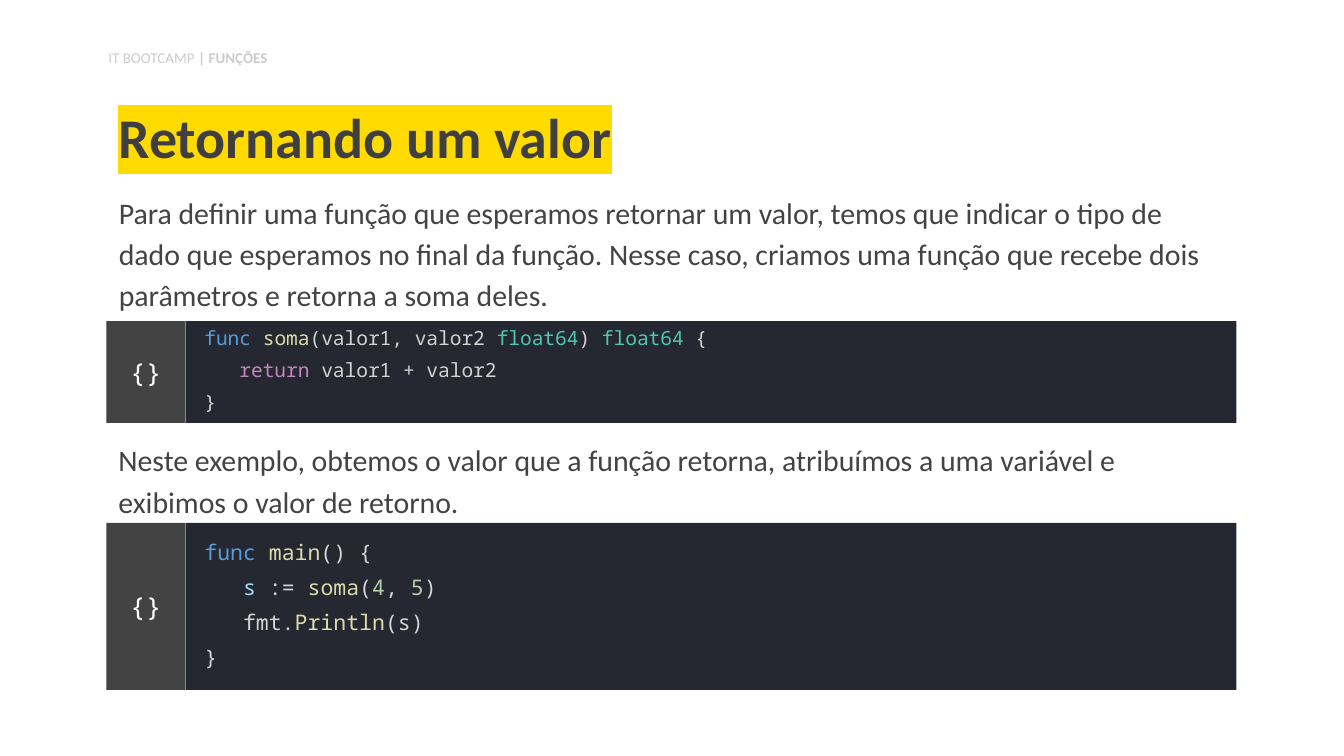
"""Build the slide about returning a value from a function."""
from lxml import etree
from pptx import Presentation
from pptx.dml.color import RGBColor
from pptx.enum.shapes import MSO_SHAPE
from pptx.enum.text import MSO_ANCHOR, PP_ALIGN
from pptx.oxml.ns import qn
from pptx.util import Pt

RECT = MSO_SHAPE.RECTANGLE
TOP, MIDDLE, BOTTOM = MSO_ANCHOR.TOP, MSO_ANCHOR.MIDDLE, MSO_ANCHOR.BOTTOM
LEFT, CENTER = PP_ALIGN.LEFT, PP_ALIGN.CENTER

SANS, MONO = "Calibri", "Noto Sans Mono"
KEYWORD, CONTROL, NAME, TYPE = "569CD6", "C586C0", "DCDCAA", "4EC9B0"
PLAIN, NUMBER, VARIABLE = "D4D4D4", "B5CEA8", "9CDCFE"
GREY, DARK, WHITE = "434343", "262831", "FFFFFF"

SUM_CODE = [
    [("func ", KEYWORD), ("soma", NAME), ("(valor1, valor2 ", PLAIN),
     ("float64", TYPE), (") ", PLAIN), ("float64", TYPE), (" {", PLAIN)],
    [("   ", PLAIN), ("return", CONTROL), (" valor1 + valor2", PLAIN)],
    [("}", PLAIN)],
]
MAIN_CODE = [
    [("func ", KEYWORD), ("main", NAME), ("() {", PLAIN)],
    [("   ", PLAIN), ("s", VARIABLE), (" := ", PLAIN), ("soma", NAME), ("(", PLAIN),
     ("4", NUMBER), (", ", PLAIN), ("5", NUMBER), (")", PLAIN)],
    [("   fmt.", PLAIN), ("Println", NAME), ("(s)", PLAIN)],
    [("}", PLAIN)],
]


def rgb(value):
    return RGBColor.from_string(value)


def apply(target, values):
    for name, value in values.items():
        setattr(target, name, value)


class Deck:
    body = {"size": Pt(16), "name": SANS}
    title = {"size": Pt(30), "name": SANS, "bold": True}
    header = {"size": Pt(8), "name": SANS}
    badge = {"size": Pt(14), "name": MONO}

    def __init__(self, prs):
        self.s = prs.slides.add_slide(prs.slide_layouts[6])

    def fill_text(self, sp, lines, font, para, margins=(7.2, 7.2, 7.2, 7.2), anchor=TOP):
        tf = sp.text_frame
        left, top, right, bottom = (Pt(m) for m in margins)
        apply(tf, {"word_wrap": True, "vertical_anchor": anchor, "margin_left": left,
                   "margin_top": top, "margin_right": right, "margin_bottom": bottom})
        for i, line in enumerate(lines):
            p = tf.add_paragraph() if i else tf.paragraphs[0]
            apply(p, para)
            for text, color, *extra in line:
                r = p.add_run()
                r.text = text
                apply(r.font, {**font, **(extra[0] if extra else {})})
                r.font.color.rgb = rgb(color)

    def text(self, box, lines, font, para, **layout):
        sp = self.s.shapes.add_textbox(*(Pt(v) for v in box))
        self.fill_text(sp, lines, font, para, **layout)
        return sp

    def paragraph(self, box, text):
        self.text(box, [[(text, GREY)]], self.body, {"line_spacing": 1.15})

    def heading(self, box, text, color, mark):
        sp = self.text(box, [[(text, color)]], self.title, {"line_spacing": 0.9}, anchor=BOTTOM)
        fill = sp.text_frame.paragraphs[0].runs[0].font.fill
        fill.solid()
        fill.fore_color.rgb = rgb(color)
        highlight = etree.Element(qn("a:highlight"))
        etree.SubElement(highlight, qn("a:srgbClr"), val=mark)
        sp.text_frame.paragraphs[0].runs[0].font._rPr.find(qn("a:solidFill")).addnext(highlight)

    def rect(self, group, box, color):
        sp = group.shapes.add_shape(RECT, *(Pt(v) for v in box))
        sp.shadow.inherit = False
        sp.fill.solid()
        sp.fill.fore_color.rgb = rgb(color)
        sp.line.fill.background()
        return sp

    def code(self, top, height, size, lines):
        group = self.s.shapes.add_group_shape()
        panel = self.rect(group, (99.4, top, 563, height), DARK)
        self.fill_text(panel, lines, {"size": Pt(size), "name": MONO},
                       {"line_spacing": 1.36, "alignment": LEFT},
                       margins=(10.1, 0, 7.2, 7.2), anchor=MIDDLE)
        badge = self.rect(group, (57, top, 42.4, height), GREY)
        self.fill_text(badge, [[("{}", WHITE)]], self.badge, {"alignment": CENTER}, anchor=MIDDLE)


def main():
    prs = Presentation()
    prs.slide_width, prs.slide_height = Pt(720), Pt(405)
    deck = Deck(prs)
    deck.paragraph((56.6, 94.3, 607, 54.7),
                   "Para definir uma função que esperamos retornar um valor, temos que indicar "
                   "o tipo de dado que esperamos no final da função. Nesse caso, criamos uma "
                   "função que recebe dois parâmetros e retorna a soma deles.")
    deck.code(172, 54.5, 10.5, SUM_CODE)
    deck.heading((56.4, 49, 607, 49.7), "Retornando um valor", "3F3F3F", "FFDB00")
    deck.paragraph((56.4, 226.8, 607, 72),
                   "Neste exemplo, obtemos o valor que a função retorna, atribuímos a uma "
                   "variável e exibimos o valor de retorno.")
    deck.code(280.1, 89.5, 11.5, MAIN_CODE)
    deck.text((51, 22.4, 226, 19.4),
              [[("IT BOOTCAMP", "CCCCCC"), (" | FUNÇÕES", "CCCCCC", {"bold": True})]],
              deck.header, {"space_after": Pt(12)}, margins=(7.2, 3.6, 7.2, 3.6))
    prs.save("out.pptx")


if __name__ == "__main__":
    main()
